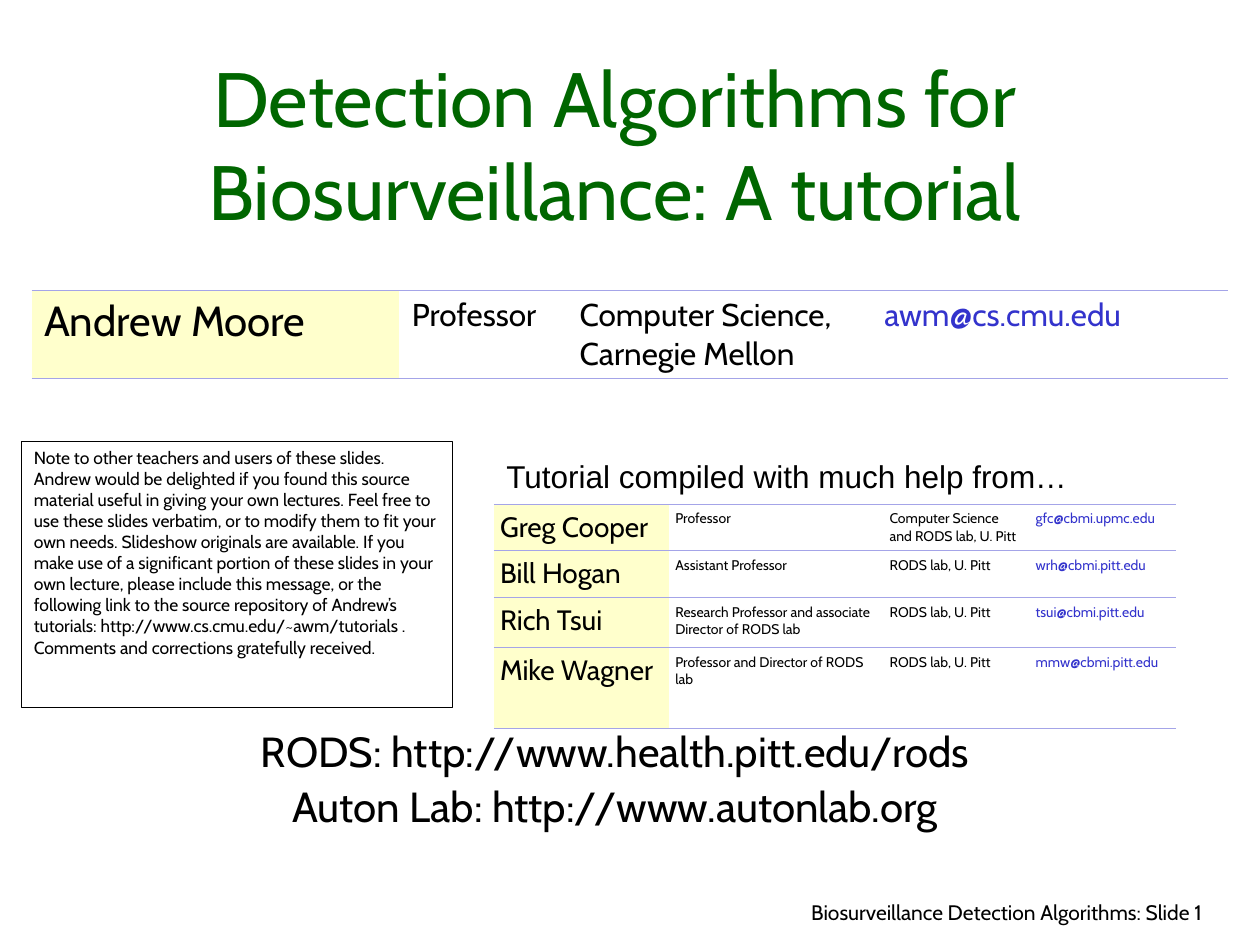
from dataclasses import dataclass

from lxml.etree import SubElement
from pptx import Presentation
from pptx.dml.color import RGBColor
from pptx.enum.shapes import MSO_SHAPE
from pptx.enum.text import MSO_ANCHOR, MSO_AUTO_SIZE, PP_ALIGN
from pptx.oxml.ns import qn
from pptx.util import Inches, Pt


@dataclass(frozen=True)
class Theme:
    font: str = "Cabin"
    plain: str = "Arial"
    text: str = "000000"
    title: str = "006600"
    link: str = "3333CC"
    name: str = "FFFFCC"
    rule: str = "A4A4E8"
    huge: int = 44
    large: int = 24
    medium: int = 18
    small: int = 16
    foot: int = 12
    note: int = 10
    tiny: int = 8


class Deck:
    def __init__(self, theme):
        self.theme = theme
        self.file = Presentation()
        self.file.slide_width = Inches(10)
        self.file.slide_height = Inches(7.5)
        self.slide = self.file.slides.add_slide(self.file.slide_layouts[0])

    def letter(self, frame, lines, size, color=None, font=None,
               align=PP_ALIGN.LEFT):
        frame.text = "\n".join(lines)
        frame.word_wrap = True
        for para in frame.paragraphs:
            para.alignment = align
            para.font.name = font or self.theme.font
            para.font.size = Pt(size)
            para.font.color.rgb = RGBColor.from_string(color or self.theme.text)

    def holder(self, index, box, lines, size, color=None,
               anchor=MSO_ANCHOR.TOP):
        shape = self.slide.placeholders[index]
        shape.left, shape.top, shape.width, shape.height = map(Inches, box)
        self.letter(shape.text_frame, lines, size, color, align=PP_ALIGN.CENTER)
        shape.text_frame.auto_size = MSO_AUTO_SIZE.NONE
        shape.text_frame.vertical_anchor = anchor
        return shape.text_frame

    def label(self, box, text, size, **style):
        shape = self.slide.shapes.add_textbox(*map(Inches, box))
        self.letter(shape.text_frame, [text], size, **style)

    def panel(self, box, text, size):
        shape = self.slide.shapes.add_shape(MSO_SHAPE.RECTANGLE, *map(Inches, box))
        shape.shadow.inherit = False
        shape.fill.background()
        shape.line.color.rgb = RGBColor.from_string(self.theme.text)
        shape.line.width = Pt(0.25)
        shape.text_frame.vertical_anchor = MSO_ANCHOR.TOP
        self.letter(shape.text_frame, [text], size)

    def border(self, cell):
        props = cell._tc.get_or_add_tcPr()
        for side in "LRTB":
            line = SubElement(props, qn(f"a:ln{side}"), w=str(Pt(0.23)))
            if side in "LR":
                SubElement(line, qn("a:noFill"))
            else:
                fill = SubElement(line, qn("a:solidFill"))
                SubElement(fill, qn("a:srgbClr"), val=self.theme.rule)

    def people(self, left, top, widths, heights, rows, sizes, inset):
        """Name column is shaded, e-mail column takes the link colour."""
        box = map(Inches, (left, top, sum(widths), sum(heights)))
        table = self.slide.shapes.add_table(len(rows), len(widths), *box).table
        table.first_row = table.horz_banding = False
        for col, width in zip(table.columns, widths):
            col.width = Inches(width)
        for row, height, texts in zip(table.rows, heights, rows):
            row.height = Inches(height)
            for i, (cell, text) in enumerate(zip(row.cells, texts)):
                cell.margin_left = Inches(inset)
                self.border(cell)
                if i == 0:
                    cell.fill.solid()
                    cell.fill.fore_color.rgb = RGBColor.from_string(self.theme.name)
                else:
                    cell.fill.background()
                color = self.theme.link if i == len(texts) - 1 else None
                self.letter(cell.text_frame, [text], sizes[min(i, 1)], color)


def main():
    theme = Theme()
    deck = Deck(theme)

    # Footer and title
    deck.label((5.72, 7.09, 3.92, 0.33),
               "Biosurveillance Detection Algorithms: Slide 1",
               theme.foot, align=PP_ALIGN.RIGHT)
    deck.holder(0, (0.17, 0.5, 9.42, 1.42),
                ["Detection Algorithms for Biosurveillance: A tutorial"],
                theme.huge, theme.title, MSO_ANCHOR.BOTTOM)

    # Helpers
    lab = "RODS lab, U. Pitt"
    helpers = [
        ("Greg Cooper", "Professor", f"Computer Science and {lab}",
         "gfc@cbmi.upmc.edu"),
        ("Bill Hogan", "Assistant Professor", lab, "wrh@cbmi.pitt.edu"),
        ("Rich Tsui", "Research Professor and associate Director of RODS lab",
         lab, "tsui@cbmi.pitt.edu"),
        ("Mike Wagner", "Professor and Director of RODS lab", lab,
         "mmw@cbmi.pitt.edu"),
    ]
    deck.people(3.92, 4, (1.39, 1.7, 1.16, 1.16), (0.37, 0.37, 0.4, 0.64),
                helpers, (theme.small, theme.tiny), 0.05)

    # Web addresses
    links = deck.holder(1, (0.67, 5.75, 8.42, 0.92),
                        ["RODS: http://www.health.pitt.edu/rods",
                         "Auton Lab: http://www.autonlab.org"], theme.large)
    for para in links.paragraphs:
        para.line_spacing = 0.9
        para.space_before = Pt(0)
    links.paragraphs[1].space_before = Pt(6)

    # Author
    author = ("Andrew Moore", "Professor", "Computer Science, Carnegie Mellon",
              "awm@cs.cmu.edu")
    deck.people(0.25, 2.3, (2.92, 1.33, 2.42, 2.83), (0.7,), [author],
                (theme.large, theme.medium), 0.1)

    # Heading of the helpers, and note to teachers
    deck.label((3.92, 3.58, 5.08, 0.4), "Tutorial compiled with much help from…",
               theme.medium, font=theme.plain)
    deck.panel((0.17, 3.5, 3.42, 2.11),
               "Note to other teachers and users of these slides. Andrew would "
               "be delighted if you found this source material useful in giving "
               "your own lectures. Feel free to use these slides verbatim, or to "
               "modify them to fit your own needs. Slideshow originals are "
               "available. If you make use of a significant portion of these "
               "slides in your own lecture, please include this message, or the "
               "following link to the source repository of Andrew’s tutorials: "
               "http://www.cs.cmu.edu/~awm/tutorials . Comments and corrections "
               "gratefully received.", theme.note)

    deck.file.save("out.pptx")


if __name__ == "__main__":
    main()
